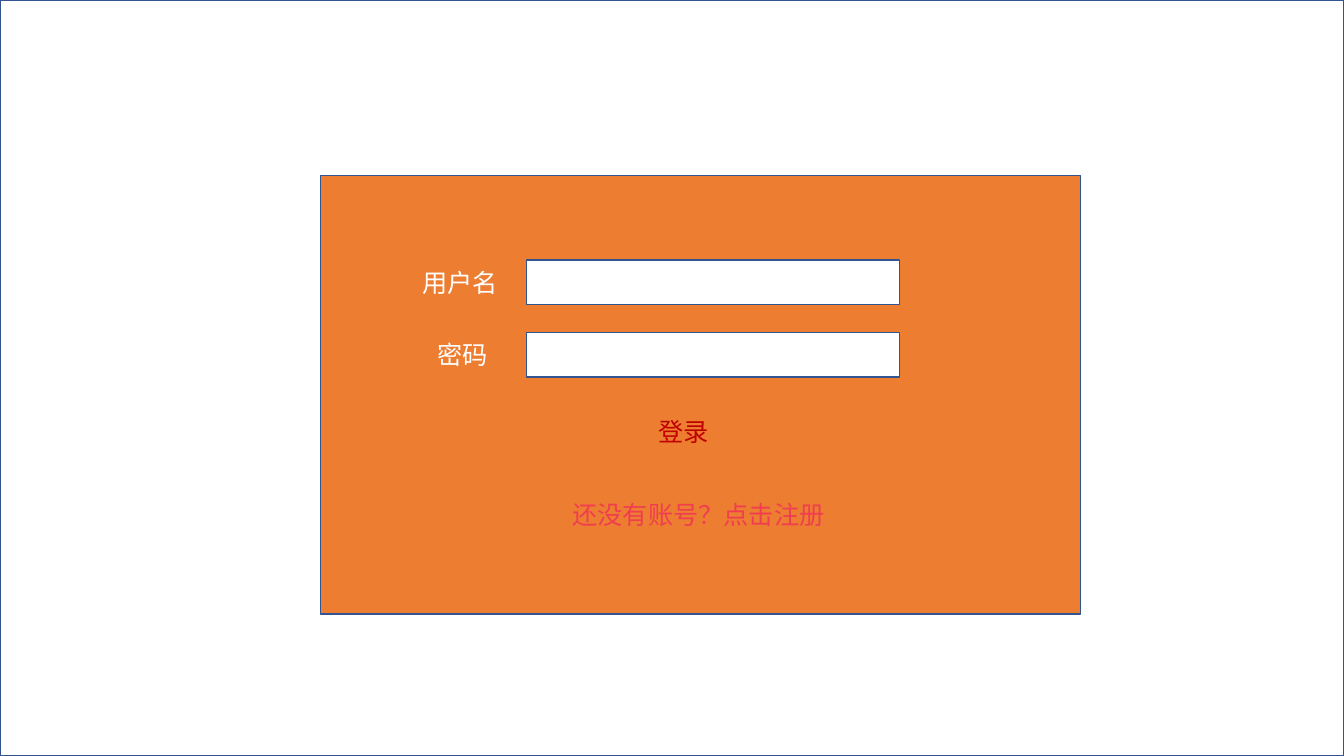
from pptx import Presentation
from pptx.dml.color import RGBColor
from pptx.enum.shapes import MSO_SHAPE
from pptx.enum.text import MSO_ANCHOR, PP_ALIGN
from pptx.oxml.ns import qn
from pptx.util import Inches, Pt
from lxml.etree import SubElement

FONT = "Noto Sans CJK SC"
WHITE, BORDER, ORANGE = "FFFFFF", "325491", "ED7D31"
RED, PINK = "C00000", "F03E50"


def add_panel(page, left, top, width, height, fill=None):
    """Add a bordered rectangle, unfilled when no colour is given."""
    panel = page.shapes.add_shape(
        MSO_SHAPE.RECTANGLE, Inches(left), Inches(top), Inches(width), Inches(height))
    panel.shadow.inherit = False
    panel.line.color.rgb = RGBColor.from_string(BORDER)
    panel.line.width = Pt(1)
    if fill:
        panel.fill.solid()
        panel.fill.fore_color.rgb = RGBColor.from_string(fill)
    else:
        panel.fill.background()


def add_label(page, text, left, top, width, height, color, align=PP_ALIGN.LEFT):
    """Add one line of 18 point text in the given colour."""
    box = page.shapes.add_textbox(Inches(left), Inches(top), Inches(width), Inches(height))
    frame = box.text_frame
    frame.word_wrap = True
    frame.vertical_anchor = MSO_ANCHOR.MIDDLE
    para = frame.paragraphs[0]
    para.alignment = align
    span = para.add_run()
    span.text = text
    for name, value in {"size": Pt(18), "name": FONT}.items():
        setattr(span.font, name, value)
    span.font.color.rgb = RGBColor.from_string(color)
    SubElement(span.font._element, qn("a:ea"), typeface=FONT)


deck = Presentation()
deck.slide_width, deck.slide_height = Inches(13.33), Inches(7.5)
page = deck.slides.add_slide(deck.slide_layouts[6])

# Page frame and login panel
add_panel(page, 0, 0, 13.33, 7.5)
add_panel(page, 3.18, 1.74, 7.54, 4.35, ORANGE)

# Input fields with their labels
fields = [("用户名", 4.09, 1.13), ("密码", 4.24, 0.83)]
for row, (text, left, width) in enumerate(fields):
    top = 2.58 + row * 0.72
    add_panel(page, 5.22, top, 3.7, 0.44, WHITE)
    add_label(page, text, left, top + 0.02, width, 0.4, WHITE)

# Login button and registration prompt
add_label(page, "登录", 6.05, 4.05, 1.46, 0.46, RED, PP_ALIGN.CENTER)
add_label(page, "还没有账号？点击注册", 5.58, 4.9, 2.8, 0.4, PINK)

deck.save("out.pptx")
